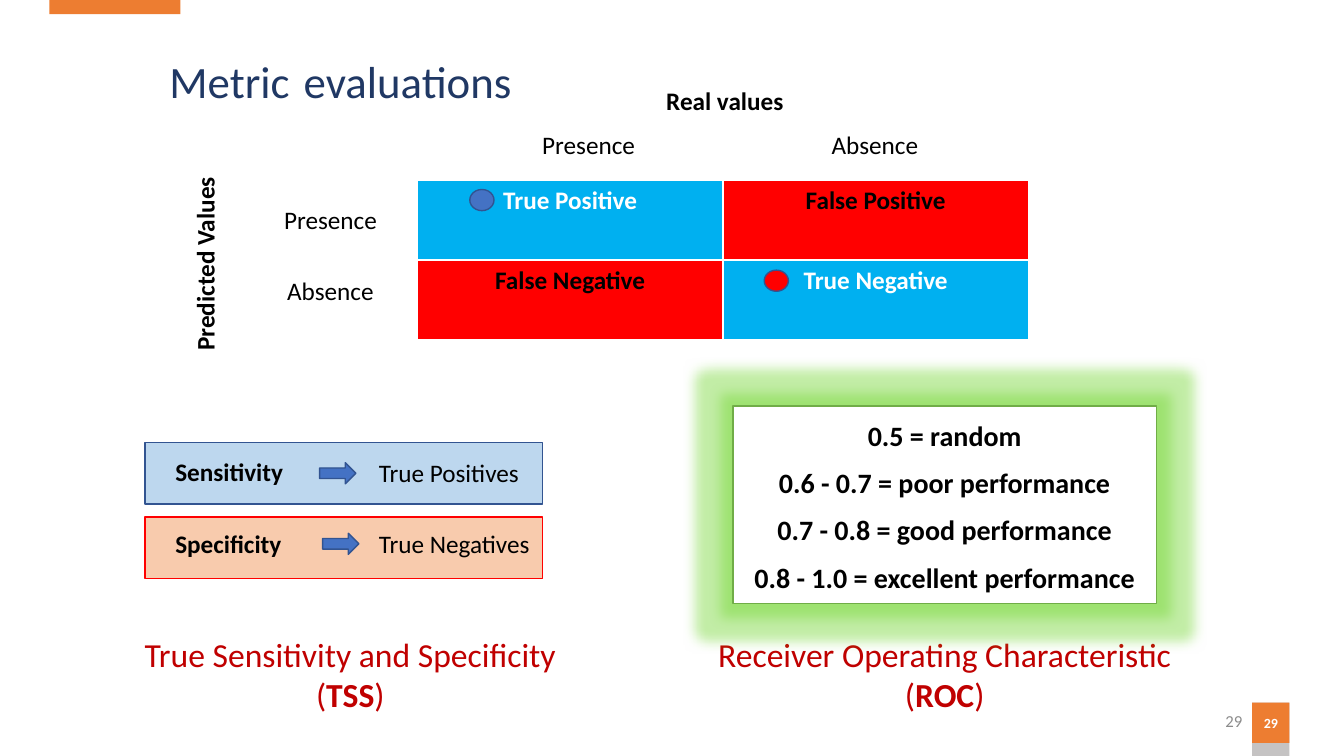
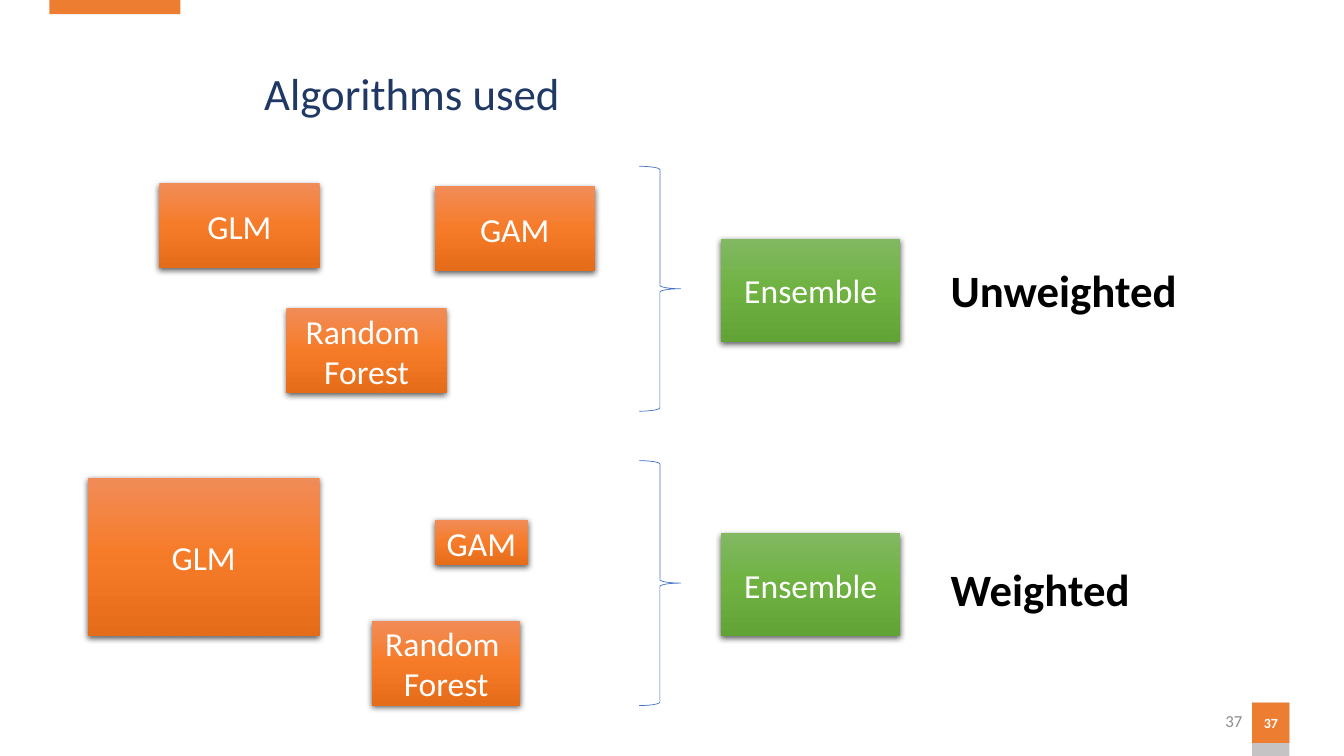
"""Build two slides: metric evaluations and the algorithms used."""
from pptx import Presentation
from pptx import util as u
from pptx.dml.color import RGBColor
from pptx.enum import shapes as kinds, text as t
from pptx.oxml import parse_xml
from pptx.oxml.ns import nsdecls

PX = 9144
FONT = "Calibri"
WHITE = RGBColor(0xFF, 0xFF, 0xFF)
BLACK = RGBColor(0, 0, 0)
ORANGE = RGBColor(0xED, 0x7D, 0x31)
SILVER = RGBColor(0xC5, 0xC3, 0xC3)
GREY = RGBColor(0x8C, 0x8C, 0x8C)
NAVY = RGBColor(0x20, 0x38, 0x64)
BLUE = RGBColor(0x44, 0x72, 0xC4)
EDGE = RGBColor(0x32, 0x54, 0x91)
SKY = RGBColor(0x00, 0xB0, 0xF0)
RED = RGBColor(0xFF, 0, 0)
CRIMSON = RGBColor(0xC0, 0, 0)
GREEN = RGBColor(0x70, 0xAD, 0x47)
PALE_BLUE = RGBColor(0xBD, 0xD7, 0xEE)
PEACH = RGBColor(0xF8, 0xCB, 0xAD)
ORANGE_FADE = ("F18C57", "F67B28", "E56C19")
GREEN_FADE = ("81B861", "6FB242", "62A336")

KIND = kinds.MSO_SHAPE
LEFT, CENTER, RIGHT = t.PP_ALIGN.LEFT, t.PP_ALIGN.CENTER, t.PP_ALIGN.RIGHT
MIDDLE = t.MSO_ANCHOR.MIDDLE

BANDS = [((49, 0, 130, 14), ORANGE), ((1242, 697, 37, 53), SILVER)]
BADGE = (1242, 697, 37, 40)

MATRIX_AT = (414, 179, 606, 158)
MATRIX = [
    [("True Positive", WHITE, SKY), ("False Positive", BLACK, RED)],
    [("False Negative", BLACK, RED), ("True Negative", WHITE, SKY)],
]
MATRIX_LABELS = [
    ("Presence", (272, 198, 113, 40), False, 0),
    ("Absence", (275, 268, 107, 40), False, 0),
    ("Absence", (815, 123, 107, 40), False, 0),
    ("Presence", (528, 123, 113, 40), False, 0),
    ("Real values", (651, 80, 137, 40), True, 0),
    ("Predicted Values", (103, 238, 200, 40), True, 270),
]
DOTS = [((466, 188, 24, 21), BLUE), ((758, 268, 24, 21), RED)]
RATES = [
    (439, PALE_BLUE, EDGE, ("Sensitivity", (164, 448, 128, 40)),
     ("True Positives", (366, 449, 161, 40)), (317, 459, 36, 21)),
    (513, PEACH, RED, ("Specificity", (164, 519, 126, 40)),
     ("True Negatives", (366, 519, 171, 40)), (320, 529, 36, 21)),
]
CAPTIONS = [
    ("True Sensitivity and Specificity", "TSS", (131, 624, 433, 91)),
    ("Receiver Operating Characteristic", "ROC", (700, 624, 474, 91)),
]
SCALE_AT = (727, 403, 420, 196)
SCALE = ["0.5 = random", "0.6 - 0.7 = poor performance",
         "0.7 - 0.8 = good performance", "0.8 - 1.0 = excellent performance"]

FOREST = ["Random ", "Forest"]
ENSEMBLES = [
    (165, "Unweighted", (933, 256, 260, 64),
     [(["GLM"], (158, 182, 159, 84)), (["GAM"], (431, 185, 159, 84)),
      (FOREST, (284, 306, 159, 84))]),
    (457, "Weighted", (933, 552, 217, 64),
     [(["GLM"], (87, 474, 230, 157)), (["GAM"], (431, 516, 93, 45)),
      (FOREST, (369, 616, 147, 84))]),
]


def emu(at):
    return [value * PX for value in at]


def write(frame, paragraphs, size, color, align=LEFT):
    """Fill a frame with paragraphs, each a list of (text, bold) runs."""
    for index, runs in enumerate(paragraphs):
        line = frame.add_paragraph() if index else frame.paragraphs[0]
        line.alignment = align
        for words, bold in runs:
            run = line.add_run()
            run.text = words
            run.font.name, run.font.size = FONT, u.Pt(size)
            run.font.bold, run.font.color.rgb = bold, color


def label(shapes, at, paragraphs, size=18, color=BLACK, align=LEFT, wrap=False):
    box = shapes.add_textbox(*emu(at))
    box.text_frame.word_wrap = wrap
    write(box.text_frame, paragraphs, size, color, align)
    return box


def block(shapes, kind, at, fill=None, edge=None, width=1):
    part = shapes.add_shape(kind, *emu(at))
    part.shadow.inherit = False
    if fill is None:
        part.fill.background()
    else:
        part.fill.solid()
        part.fill.fore_color.rgb = fill
    if edge is None:
        part.line.fill.background()
    else:
        part.line.color.rgb = edge
        part.line.width = u.Pt(width)
    return part


def faded_box(shapes, at, lines, fade):
    """Add a captioned box with a vertical gradient and a soft shadow."""
    box = shapes.add_shape(KIND.RECTANGLE, *emu(at))
    stops = "".join(f'<a:gs pos="{index * 50000}"><a:srgbClr val="{color}"/></a:gs>'
                    for index, color in enumerate(fade))
    properties = box.element.spPr
    properties.append(parse_xml(
        f'<a:gradFill {nsdecls("a")} rotWithShape="1"><a:gsLst>{stops}</a:gsLst>'
        '<a:lin ang="5400000" scaled="0"/></a:gradFill>'))
    box.line.fill.background()
    properties.append(parse_xml(
        f'<a:effectLst {nsdecls("a")}><a:outerShdw blurRad="57150" dist="19050" '
        'dir="5400000" algn="ctr" rotWithShape="0"><a:srgbClr val="000000">'
        '<a:alpha val="63000"/></a:srgbClr></a:outerShdw></a:effectLst>'))
    box.text_frame.vertical_anchor = MIDDLE
    write(box.text_frame, [[(line, False)] for line in lines], 24, WHITE, CENTER)


def start_slide(prs, number, title_at, title_runs):
    """Add a slide with the shared bands, page numbers and title style."""
    slide = prs.slides.add_slide(prs.slide_layouts[5])
    for at, color in BANDS:
        block(slide.shapes, KIND.RECTANGLE, at, color)
    badge = block(slide.shapes, KIND.RECTANGLE, BADGE, ORANGE).text_frame
    badge.margin_left = badge.margin_right = 0
    badge.vertical_anchor = MIDDLE
    write(badge, [[(number, True)]], 10, WHITE, CENTER)
    page = label(slide.shapes, (942, 695, 300, 40), [[(number, False)]],
                 12, GREY, RIGHT, True)
    page.text_frame.vertical_anchor = MIDDLE

    title = slide.shapes.title
    title.left, title.top, title.width, title.height = emu(title_at)
    frame = title.text_frame
    frame.auto_size = t.MSO_AUTO_SIZE.NONE
    frame.vertical_anchor = MIDDLE
    write(frame, [[(words, False) for words, _ in title_runs]], 32, NAVY)
    frame.paragraphs[0].line_spacing = 0.9
    for run, (_, size) in zip(frame.paragraphs[0].runs, title_runs):
        run.font.size = u.Pt(size)
    return slide.shapes


def add_metrics(prs):
    shapes = start_slide(prs, "29", (158, 5, 1150, 145),
                         [("Metric", 32), (" ", 44), ("evaluations", 32)])
    matrix = shapes.add_table(2, 2, *emu(MATRIX_AT)).table
    for row, entries in enumerate(MATRIX):
        for column, (words, color, fill) in enumerate(entries):
            cell = matrix.cell(row, column)
            cell.fill.solid()
            cell.fill.fore_color.rgb = fill
            write(cell.text_frame, [[(words, True)]], 18, color, CENTER)
    for words, at, bold, turn in MATRIX_LABELS:
        label(shapes, at, [[(words, bold)]]).rotation = turn
    for at, color in DOTS:
        block(shapes, KIND.OVAL, at, color, EDGE)

    for top, fill, edge, (rate, rate_at), (meaning, meaning_at), arrow_at in RATES:
        group = shapes.add_group_shape().shapes
        block(group, KIND.RECTANGLE, (144, top, 394, 61), fill, edge)
        label(group, rate_at, [[(rate, True)]])
        label(group, meaning_at, [[(meaning, False)]])
        block(group, KIND.RIGHT_ARROW, arrow_at, BLUE, EDGE)
    for words, short, at in CAPTIONS:
        label(shapes, at, [[(words, False)], [("(", False), (short, True), (")", False)]],
              24, CRIMSON, CENTER)

    scale = shapes.add_shape(KIND.RECTANGLE, *emu(SCALE_AT))
    scale.fill.solid()
    scale.fill.fore_color.rgb = WHITE
    scale.line.color.rgb = GREEN
    scale.line.width = u.Pt(1)
    scale.element.spPr.append(parse_xml(
        f'<a:effectLst {nsdecls("a")}><a:glow rad="228600"><a:srgbClr val="{GREEN}">'
        '<a:satMod val="175000"/><a:alpha val="40000"/></a:srgbClr></a:glow></a:effectLst>'))
    scale.text_frame.vertical_anchor = MIDDLE
    write(scale.text_frame, [[(line, True)] for line in SCALE], 20, BLACK, CENTER)
    for line in scale.text_frame.paragraphs:
        line.line_spacing, line.space_after = 1.07, u.Pt(8)


def add_algorithms(prs):
    shapes = start_slide(prs, "37", (252, 23, 1150, 145), [("Algorithms used", 32)])
    for top, weighting, weighting_at, models in ENSEMBLES:
        for lines, at in models:
            faded_box(shapes, at, lines, ORANGE_FADE)
        block(shapes, KIND.RIGHT_BRACE, (634, top, 41, 243), edge=BLUE, width=0.5)
        faded_box(shapes, (715, top + 72, 178, 102), ["Ensemble"], GREEN_FADE)
        label(shapes, weighting_at, [[(weighting, True)]], 32, wrap=True)


def main():
    prs = Presentation()
    prs.slide_width, prs.slide_height = emu((1333, 750))
    add_metrics(prs)
    add_algorithms(prs)
    prs.save("out.pptx")


if __name__ == "__main__":
    main()
